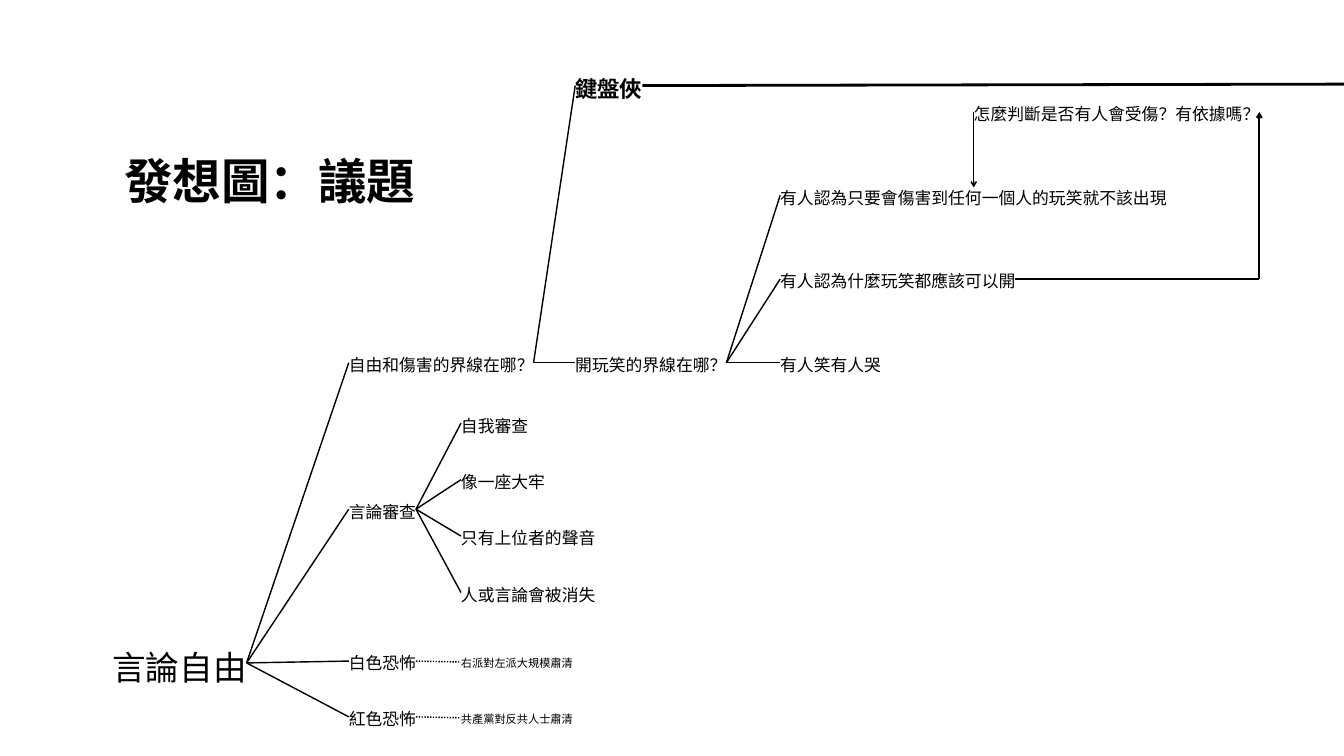
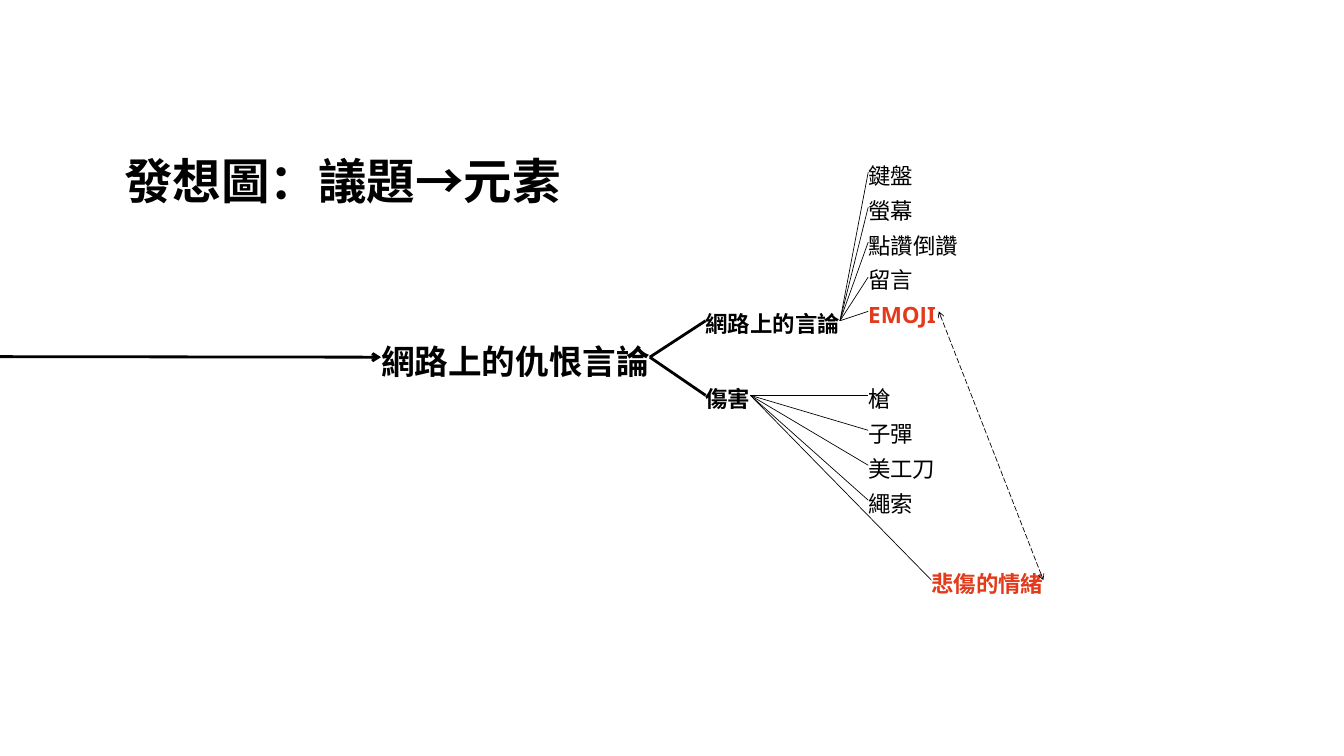
from lxml.etree import SubElement
from pptx import Presentation
from pptx.dml.color import RGBColor
from pptx.enum.dml import MSO_LINE
from pptx.enum.shapes import MSO_CONNECTOR
from pptx.enum.text import PP_ALIGN
from pptx.oxml.ns import qn
from pptx.util import Inches, Pt

BLACK = RGBColor(0x00, 0x00, 0x00)
RED = RGBColor(0xE2, 0x3A, 0x1A)
FONT = "Noto Sans"
LEFT_SIDE, RIGHT_SIDE = 1, 3


# Shared parts
def add_label(page, text, left, top, size=18, bold=False, color=BLACK, width=None):
    """Place one line of text; a full-width character is as wide as its size."""
    width = width or len(text) * size / 72
    box = page.shapes.add_textbox(Inches(left), Inches(top),
                                  Inches(width), Inches(size * 1.34 / 72))
    frame = box.text_frame
    frame.margin_left = frame.margin_top = 0
    frame.margin_right = frame.margin_bottom = 0
    frame.word_wrap = False
    frame.text = text
    para = frame.paragraphs[0]
    para.line_spacing = Pt(size * 1.4)
    span = para.runs[0]
    span.font.name = FONT
    span.font.size = Pt(size)
    span.font.bold = bold
    span.font.color.rgb = color
    SubElement(span.font._element, qn("a:ea"), typeface=FONT)
    return box


def add_title(page, text):
    add_label(page, text, 1.85, 2.11, size=52, bold=True)


def add_line(page, start, end, weight=1.5, dash=None, arrows=()):
    """Draw a line; each end is an (x, y) point in EMU or a (label, side) joint."""
    line = page.shapes.add_connector(MSO_CONNECTOR.STRAIGHT, 0, 0, 0, 0)
    line.begin_x, line.begin_y = joint_point(start)
    line.end_x, line.end_y = joint_point(end)
    if not isinstance(start[0], int):
        line.begin_connect(*start)
    if not isinstance(end[0], int):
        line.end_connect(*end)
    line.line.color.rgb = BLACK
    line.line.width = Pt(weight)
    if dash:
        line.line.dash_style = dash
    for arrow in arrows:
        SubElement(line.line._get_or_add_ln(), qn(f"a:{arrow}"), type="arrow")
    SubElement(line._element.spPr, qn("a:effectLst"))


def joint_point(joint):
    if isinstance(joint[0], int):
        return joint
    box, side = joint
    x = box.left + (box.width if side == RIGHT_SIDE else 0)
    return x, box.top + box.height // 2


def add_link(page, parent, child, weight=1.5, dash=None):
    add_line(page, (parent, RIGHT_SIDE), (child, LEFT_SIDE), weight, dash)


def add_fan(page, parent, texts, left, tops, weight=1.5, **style):
    """Place a column of labels, each linked to the parent."""
    labels = []
    for text, top in zip(texts, tops):
        labels.append(add_label(page, text, left, top, **style))
        add_link(page, parent, labels[-1], weight)
    return labels


def even_tops(top, gap, count):
    return [top + gap * row for row in range(count)]


# Slide 1: issues
def build_speech_tree(page, left, top):
    root = add_label(page, "言論自由", left, top + 4.3, size=36)
    topics = ["自由和傷害的界線在哪？", "言論審查", "白色恐怖", "紅色恐怖"]
    offsets = [0, 2.18, 4.44, 5.27]
    boundary, censorship, white_terror, red_terror = add_fan(
        page, root, topics, left + 3.52, [top + offset for offset in offsets])

    effects = ["自我審查", "像一座大牢", "只有上位者的聲音", "人或言論會被消失"]
    add_fan(page, censorship, effects, left + 5.19, even_tops(top + 0.9, 0.84, 4))

    notes = [(white_terror, "右派對左派大規模肅清", 4.51),
             (red_terror, "共產黨對反共人士肅清", 5.34)]
    for terror, text, offset in notes:
        note = add_label(page, text, left + 5.19, top + offset, size=12)
        add_link(page, terror, note, dash=MSO_LINE.ROUND_DOT)
    return boundary


def build_joke_tree(page, boundary, left, top):
    warrior = add_label(page, "鍵盤俠", left, top, size=24, bold=True)
    add_link(page, boundary, warrior)
    add_line(page, (warrior, RIGHT_SIDE), (Inches(left + 12.21), Inches(top + 0.2)),
             weight=3, arrows=["tailEnd"])

    [joke] = add_fan(page, boundary, ["開玩笑的界線在哪？"], left, [top + 4.18])
    opinions = ["有人認為只要會傷害到任何一個人的玩笑就不該出現",
                "有人認為什麼玩笑都應該可以開", "有人笑有人哭"]
    _, anything_goes, _ = add_fan(page, joke, opinions, left + 3.05,
                                  even_tops(top + 1.69, 1.245, 3))

    # Question raised between the first two opinions
    question = add_label(page, "怎麼判斷是否有人會受傷？有依據嗎？", left + 5.93, top + 0.45)
    add_line(page, (question, LEFT_SIDE), (question.left, Inches(top + 1.74)),
             arrows=["tailEnd"])
    corner = (question.left + question.width,
              joint_point((anything_goes, RIGHT_SIDE))[1])
    add_line(page, (anything_goes, RIGHT_SIDE), corner, weight=2)
    add_line(page, corner, (question, RIGHT_SIDE), weight=2, arrows=["tailEnd"])


def build_issue_slide(page):
    add_title(page, "發想圖：議題")
    boundary = build_speech_tree(page, 1.67, 5.23)
    build_joke_tree(page, boundary, 8.56, 1.05)


# Slide 2: from issue to elements
def build_element_tree(page, left, top):
    hate = add_label(page, "網路上的仇恨言論", left, top + 2.64, size=36, bold=True)
    hate.text_frame.paragraphs[0].alignment = PP_ALIGN.CENTER
    add_line(page, (Inches(left - 10.61), Inches(top + 2.96)), (hate, LEFT_SIDE),
             weight=3, arrows=["tailEnd"])
    online, harm = add_fan(page, hate, ["網路上的言論", "傷害"], left + 4.83,
                           [top + 2.21, top + 3.32], weight=3, size=24, bold=True)

    column, gap = left + 7.25, 0.52
    add_fan(page, online, ["鍵盤", "螢幕", "點讚倒讚", "留言"], column,
            even_tops(top, gap, 4), weight=0.75, size=24)
    add_fan(page, harm, ["槍", "子彈", "美工刀", "繩索"], column,
            even_tops(top + 3.32, gap, 4), weight=0.75, size=24)

    # Highlighted pair
    accent = {"weight": 0.75, "size": 24, "bold": True, "color": RED}
    [emoji] = add_fan(page, online, ["EMOJI"], column, [top + 2.07],
                      width=1.05, **accent)
    [sorrow] = add_fan(page, harm, ["悲傷的情緒"], left + 8.19, [top + 6.07], **accent)
    add_line(page, (sorrow, RIGHT_SIDE), (emoji, RIGHT_SIDE), weight=0.75,
             dash=MSO_LINE.LONG_DASH, arrows=["headEnd", "tailEnd"])


def build_element_slide(page):
    add_title(page, "發想圖：議題→元素")
    build_element_tree(page, 5.67, 2.34)


def main():
    deck = Presentation()
    deck.slide_width, deck.slide_height = Inches(20), Inches(11.25)
    for build in (build_issue_slide, build_element_slide):
        build(deck.slides.add_slide(deck.slide_layouts[6]))
    deck.save("out.pptx")


if __name__ == "__main__":
    main()
